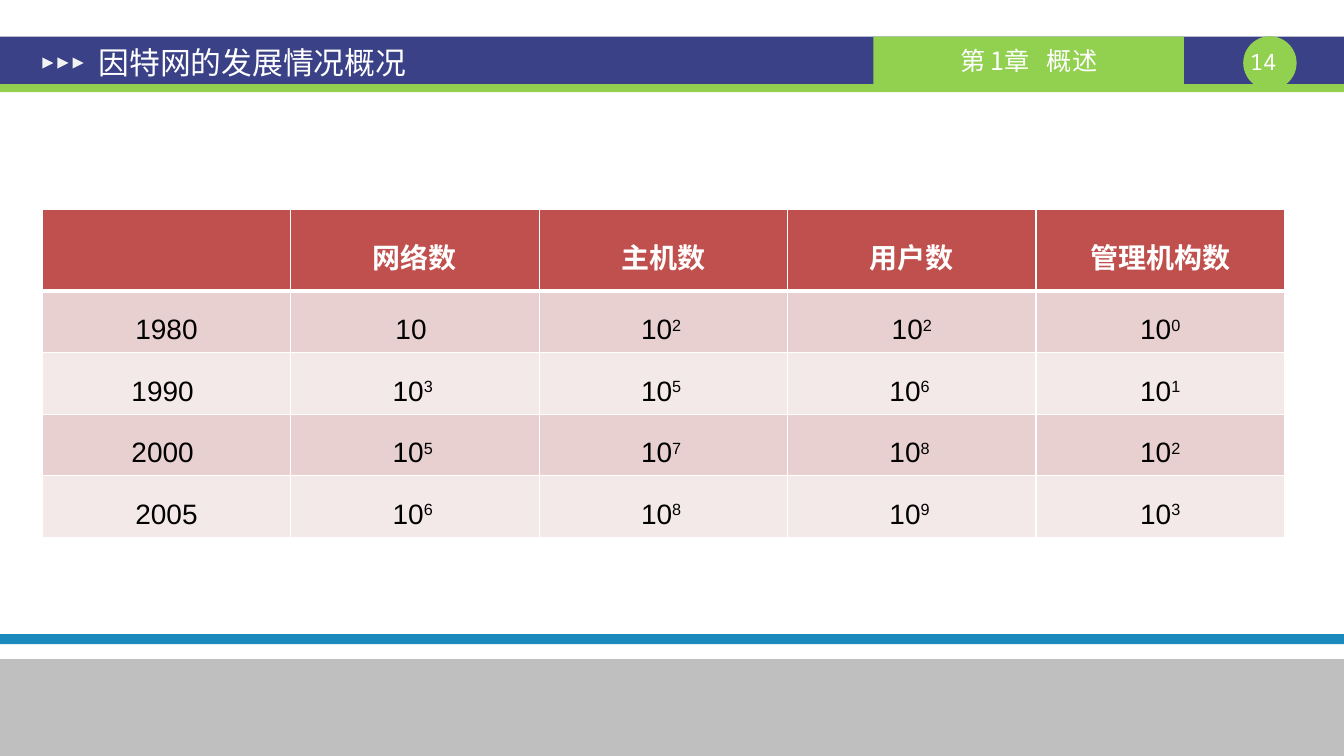
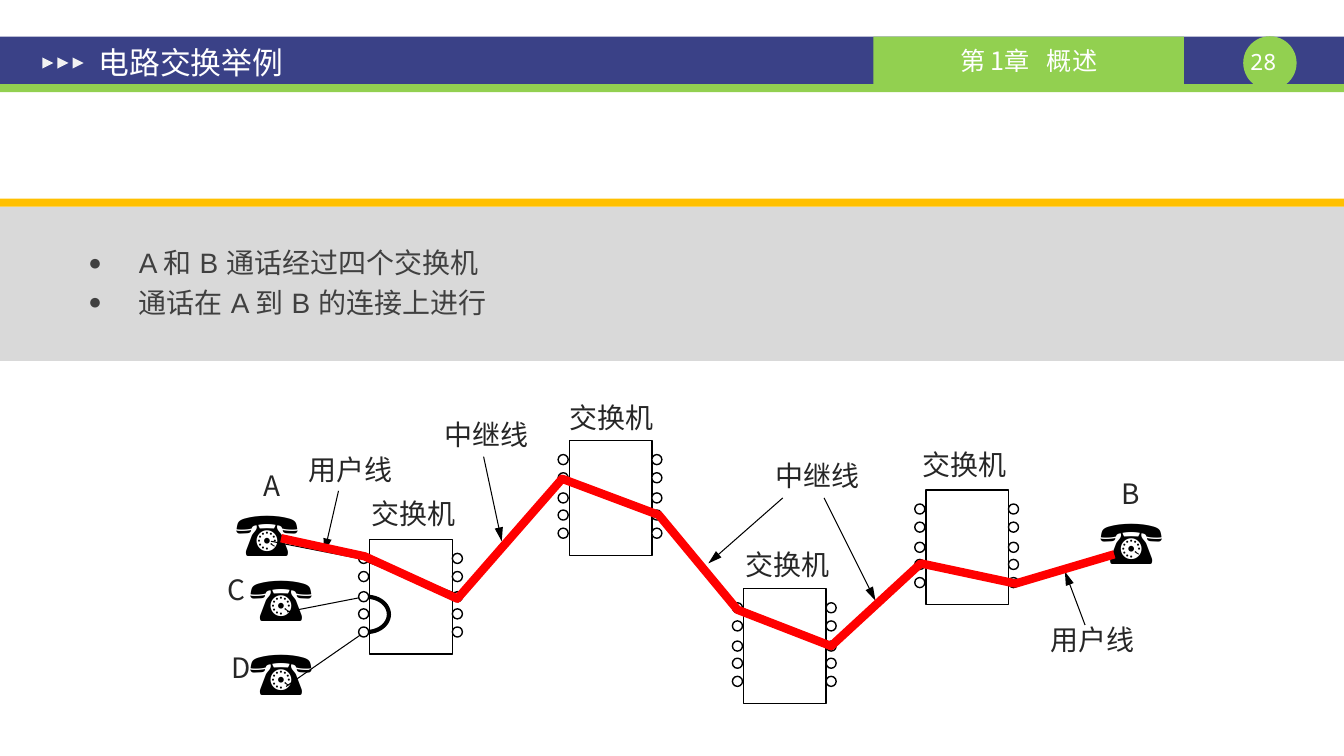
"""Build two lecture slides: a growth table and a circuit switching diagram."""
from math import cos, pi, sin

from pptx import Presentation
from pptx.dml.color import RGBColor
from pptx.enum.shapes import MSO_CONNECTOR, MSO_SHAPE
from pptx.enum.text import MSO_ANCHOR, MSO_AUTO_SIZE, PP_ALIGN
from pptx.oxml.ns import qn
from pptx.util import Inches, Pt
from lxml.etree import SubElement as add_element

COLOURS = {
    "navy": "3A4187", "green": "92D050", "white": "FFFFFF", "mark": "F2F2F2",
    "header": "C0504D", "odd": "E8D0D0", "even": "F4E9E9", "black": "000000",
    "blue": "1A8ABC", "footer": "BFBFBF", "panel": "D9D9D9", "amber": "FFC000",
    "body": "404040", "label": "262626", "red": "FF0000",
}
CELL = Inches(0.1)
COLUMNS, ROWS = 133.4, 75
LATIN, CHINESE, MONO = "Arial", "Noto Sans CJK SC", "Noto Sans Mono"

GROWTH = [
    ["", "网络数", "主机数", "用户数", "管理机构数"],
    ["1980", "10 ", "10^2 ", "10^2", "10^0"],
    ["1990 ", "10^3 ", "10^5 ", "10^6 ", "10^1"],
    ["2000 ", "10^5 ", "10^7 ", "10^8 ", "10^2"],
    ["2005", "10^6 ", "10^8 ", "10^9 ", "10^3"],
]
ROW_HEIGHTS = [8.1] + [6.1] * 4
COLUMN_WIDTH = 24.66

SWITCH_WIDTH, SWITCH_HEIGHT, PORT = 8.2, 11.4, 1.0
SWITCHES = [(36.7, 53.5), (56.5, 43.7), (73.8, 58.4), (91.9, 48.6)]
PORT_ROWS = [1.4, 3.2, 5.2, 6.9, 8.7]
PHONES = [(22.4, 48.6), (108.2, 49.4), (23.8, 55.1), (23.8, 62.4)]
SUBSCRIBER_LINES = [
    ((28.4, 68.1), (36.2, 62.7)), ((28.5, 60.7), (36.2, 59.2)),
    ((100.6, 58), (110.7, 54.9)), ((26.9, 53.7), (36.1, 55.5)),
]
POINTERS = [
    ((33.6, 48.7), (32.2, 54.8)), ((107.7, 62), (105.7, 56.7)),
    ((77.7, 49.4), (70.3, 55.9)), ((81.8, 49.4), (86.9, 59.6)),
    ((48, 45.3), (49.8, 53.7)),
]
LABELS = [
    ("交换机", 35.9, 48.8), ("交换机", 55.5, 39.2), ("交换机", 73, 53.8),
    ("交换机", 90.6, 43.9), ("用户线", 29.6, 44.4), ("用户线", 103.3, 61.3),
    ("中继线", 76, 45), ("中继线", 43.1, 40.9), ("B", 110.3, 46.8),
    ("D", 22, 64), ("C", 21.6, 56.3), ("A", 25.2, 46),
]
TRUNK = [(36, 55.4), (45.6, 59.2), (56, 47.5), (65.4, 51.1), (73.2, 60.3),
         (82.6, 64.2), (91.5, 56), (100.8, 58)]
CALL = [(27.9, 53.4), (36.2, 55.2), (45.4, 59.4), (55.8, 47.5), (65.4, 51.1),
        (73.2, 60.5), (82.5, 64.1), (91.4, 55.9), (100.8, 57.9), (110.6, 55)]


def cells(*counts):
    """Turn grid counts into lengths."""
    return [round(count * CELL) for count in counts]


def colour(name):
    """Look up a named colour."""
    return RGBColor.from_string(COLOURS[name])


def add_span(para, text, size, font, tint, bold=False, raised=False):
    """Add one formatted run to a paragraph."""
    span = para.add_run()
    span.text = text
    span.font.size = Pt(size)
    span.font.name = font
    span.font.bold = bold
    span.font.color.rgb = colour(tint)
    properties = span._r.get_or_add_rPr()
    properties.set("lang", "zh-CN")
    add_element(properties, qn("a:ea")).set("typeface", font)
    if raised:
        properties.set("baseline", "30000")


def add_block(page, kind, area, fill=None, line=None):
    """Add a preset shape with an optional fill and one-point line."""
    block = page.shapes.add_shape(kind, *cells(*area))
    block.shadow.inherit = False
    if fill:
        block.fill.solid()
        block.fill.fore_color.rgb = colour(fill)
    else:
        block.fill.background()
    if line:
        block.line.color.rgb = colour(line)
        block.line.width = Pt(1)
    else:
        block.line.fill.background()
    return block


def add_box(page, area, wrap=True, inset=None):
    """Add a text box and return its text frame."""
    frame = page.shapes.add_textbox(*cells(*area)).text_frame
    frame.word_wrap = wrap
    if not wrap:
        frame.auto_size = MSO_AUTO_SIZE.SHAPE_TO_FIT_TEXT
    if inset is not None:
        across, down = cells(*inset)
        frame.margin_left = frame.margin_right = across
        frame.margin_top = frame.margin_bottom = down
    return frame


def add_label(page, text, area, size, font, tint):
    """Add an unwrapped one-line label."""
    frame = add_box(page, area, wrap=False)
    add_span(frame.paragraphs[0], text, size, font, tint)


def add_line(page, start, end, arrow=False):
    """Add a thin straight line, with an arrowhead when asked."""
    line = page.shapes.add_connector(MSO_CONNECTOR.STRAIGHT, *cells(*start, *end))
    line.line.color.rgb = colour("black")
    line.line.width = Pt(0.75)
    if arrow:
        add_element(line.line._get_or_add_ln(), qn("a:tailEnd"),
                    type="triangle", w="med", len="lg")
    add_element(line._element.spPr, qn("a:effectLst"))


def add_route(page, points, tint, width):
    """Add an open outline through the given grid points."""
    first, *rest = [cells(*point) for point in points]
    builder = page.shapes.build_freeform(*first, scale=1.0)
    builder.add_line_segments(rest, close=False)
    route = builder.convert_to_shape()
    route.shadow.inherit = False
    route.fill.background()
    route.line.color.rgb = colour(tint)
    route.line.width = Pt(width)


def add_switch(page, left, top):
    """Add a switch with a column of ports on each side."""
    add_block(page, MSO_SHAPE.RECTANGLE, (left, top, SWITCH_WIDTH, SWITCH_HEIGHT),
              line="black")
    for port_left in (left - 1.1, left + SWITCH_WIDTH):
        for row in PORT_ROWS:
            add_block(page, MSO_SHAPE.OVAL, (port_left, top + row, PORT, PORT),
                      "white", "black")


def add_page(deck, title, number):
    """Add a slide with the shared header band, chapter, number and title."""
    page = deck.slides.add_slide(deck.slide_layouts[6])
    add_block(page, MSO_SHAPE.RECTANGLE, (0, 3.65, COLUMNS, 4.7), "navy")
    add_block(page, MSO_SHAPE.OVAL, (123.4, 3.6, 5.3, 5.3), "green")
    add_block(page, MSO_SHAPE.RECTANGLE, (0, 8.35, COLUMNS, 0.8), "green")
    frame = add_box(page, (123.4, 4.8, 5.3, 2.7), inset=(0, 0))
    frame.paragraphs[0].alignment = PP_ALIGN.CENTER
    add_span(frame.paragraphs[0], f"{number} ", 16, MONO, "white")
    chapter = add_block(page, MSO_SHAPE.RECTANGLE, (86.7, 3.65, 30.8, 4.7), "green")
    chapter.text_frame.vertical_anchor = MSO_ANCHOR.MIDDLE
    para = chapter.text_frame.paragraphs[0]
    para.alignment = PP_ALIGN.CENTER
    add_span(para, "第 1章   概述", 18, CHINESE, "white")
    for index in range(3):
        mark = add_block(page, MSO_SHAPE.ISOSCELES_TRIANGLE,
                         (4.2 + 1.5 * index, 5.7, 1.1, 1.1), "mark")
        mark.rotation = 90
    frame = add_box(page, (8.5, 3.8, 66.6, 4.7), inset=(1.3, 0.7))
    frame.vertical_anchor = MSO_ANCHOR.MIDDLE
    add_span(frame.paragraphs[0], title, 22, LATIN, "white")
    return page


def set_borders(cell, top, bottom):
    """Give a table cell white borders."""
    properties = cell._tc.get_or_add_tcPr()
    for side, width in (("L", 1), ("R", 1), ("T", top), ("B", bottom)):
        line = add_element(properties, qn(f"a:ln{side}"), w=str(Pt(width)))
        fill = add_element(line, qn("a:solidFill"))
        add_element(fill, qn("a:srgbClr"), val=COLOURS["white"])


def fill_cell(cell, text, row):
    """Write one table cell, raising what follows a caret."""
    set_borders(cell, 3 if row == 1 else 1, 3 if row == 0 else 1)
    cell.fill.solid()
    name = "header" if row == 0 else "odd" if row % 2 else "even"
    cell.fill.fore_color.rgb = colour(name)
    cell.vertical_anchor = MSO_ANCHOR.MIDDLE
    para = cell.text_frame.paragraphs[0]
    para.alignment = PP_ALIGN.CENTER
    para.line_spacing = 1.5
    tint = "black" if row else "white"
    base, _, power = text.partition("^")
    if base:
        add_span(para, base, 20, LATIN, tint, bold=row == 0)
    if power:
        add_span(para, power, 20, LATIN, tint, raised=True)


def add_growth_table(page):
    """Add the table of growth by year."""
    count = len(GROWTH[0])
    area = (4.2, 20.8, COLUMN_WIDTH * count, sum(ROW_HEIGHTS))
    table = page.shapes.add_table(len(GROWTH), count, *cells(*area)).table
    table.horz_banding = False
    for column in table.columns:
        column.width = cells(COLUMN_WIDTH)[0]
    for row, (texts, height) in enumerate(zip(GROWTH, ROW_HEIGHTS)):
        table.rows[row].height = cells(height)[0]
        for column, text in enumerate(texts):
            fill_cell(table.cell(row, column), text, row)


def add_bullets(page, area, texts):
    """Add a bulleted list."""
    frame = add_box(page, area)
    for index, text in enumerate(texts):
        para = frame.add_paragraph() if index else frame.paragraphs[0]
        properties = para._p.get_or_add_pPr()
        properties.set("marL", str(Inches(0.5)))
        properties.set("indent", str(-Inches(0.5)))
        if index:
            para.space_before = Pt(4)
        add_element(properties, qn("a:buSzPct"), val="80000")
        add_element(properties, qn("a:buFont"), typeface=LATIN)
        add_element(properties, qn("a:buChar"), char="●")
        add_span(para, text, 20, LATIN, "body")


def add_network(page):
    """Add the telephone network and the call from A to B."""
    turns = [pi * step / 24 - pi / 2 for step in range(25)]
    add_route(page, [(36.4 + 2.2 * cos(turn), 60.95 + 1.75 * sin(turn))
                     for turn in turns], "black", 3)
    for start, end in SUBSCRIBER_LINES:
        add_line(page, start, end)
    add_route(page, TRUNK, "black", 3)
    for left, top in SWITCHES:
        add_switch(page, left, top)
    for start, end in POINTERS:
        add_line(page, start, end, arrow=True)
    for left, top in PHONES:
        add_label(page, "☎", (left, top, 8.6, 8.3), 44, LATIN, "black")
    for text, left, top in LABELS:
        width = 10.6 if len(text) > 1 else 4
        add_label(page, text, (left, top, width, 4.3), 20, CHINESE, "label")
    add_route(page, CALL, "red", 6)


def main():
    """Build and save the deck."""
    deck = Presentation()
    deck.slide_width, deck.slide_height = cells(COLUMNS, ROWS)

    page = add_page(deck, "因特网的发展情况概况", 14)
    add_growth_table(page)
    add_block(page, MSO_SHAPE.RECTANGLE, (0, 62.9, COLUMNS, 1), "blue")
    add_block(page, MSO_SHAPE.RECTANGLE, (0, 65.4, COLUMNS, 9.6), "footer")

    page = add_page(deck, "电路交换举例", 28)
    add_block(page, MSO_SHAPE.RECTANGLE, (0, 20.5, COLUMNS, 15.3), "panel")
    add_bullets(page, (7.8, 23.9, 117.5, 11.7),
                ["A 和 B 通话经过四个交换机", "通话在 A 到 B 的连接上进行"])
    add_block(page, MSO_SHAPE.RECTANGLE, (0, 19.7, COLUMNS, 0.8), "amber")
    add_network(page)
    deck.save("out.pptx")


if __name__ == "__main__":
    main()
